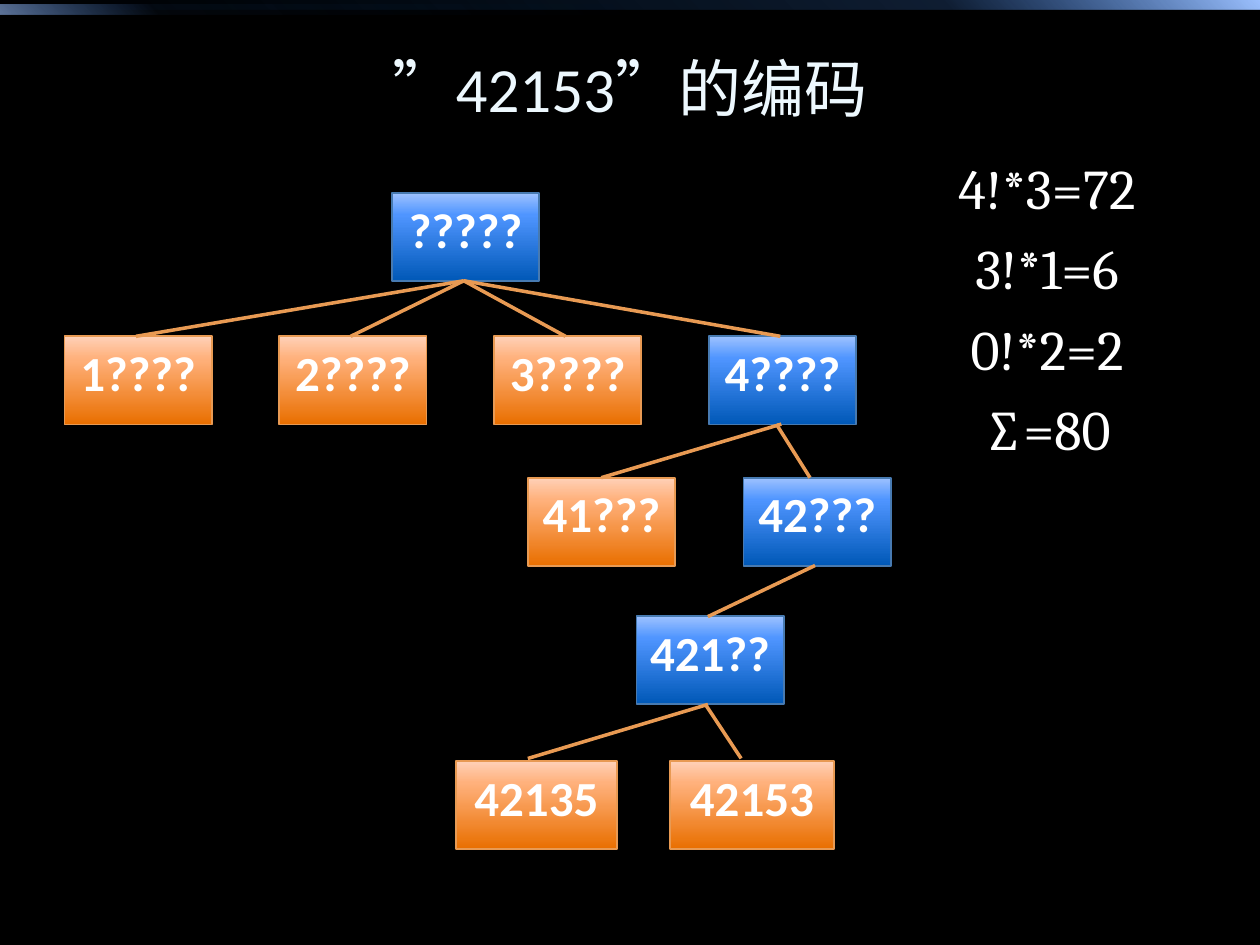
"""Builds the slide showing the permutation tree that encodes 42153."""
from lxml import etree
from pptx import Presentation
from pptx import util as u
from pptx.dml.color import RGBColor
from pptx.enum import shapes, text
from pptx.oxml.ns import qn

COLORS = {
    "black": "000000", "white": "FFFFFF", "title": "EDF8FE",
    "blue_dark": "0058B7", "blue_mid": "4F95FF", "blue_light": "9EC2FF",
    "orange_dark": "E96F00", "orange_mid": "FFB17C", "orange_light": "FFD1B8",
    "blue_line": "477AB1", "orange_line": "E89A53",
}
BOX_W, BOX_H = 2.97, 1.78
STEP = 4.33
LEVELS = [3.89, 6.78, 9.63, 12.42, 15.34]
NODES = [("?????", 7.9, 0, "blue", BOX_W)]
NODES += [(f"{i + 1}????", 1.3 + STEP * i, 1, "blue" if i == 3 else "orange", BOX_W)
          for i in range(4)]
NODES += [
    ("41???", 10.64, 2, "orange", BOX_W),
    ("42???", 14.99, 2, "blue", BOX_W),
    ("421??", 12.83, 3, "blue", BOX_W),
    ("42135", 9.19, 4, "orange", 3.25),
    ("42153", 13.51, 4, "orange", 3.3),
]
EDGES = [(9.35, 5.66, 2.74 + STEP * i, 6.78) for i in range(4)]
EDGES += [
    (15.75, 8.55, 12.12, 9.63),
    (15.65, 8.55, 16.33, 9.63),
    (16.43, 11.4, 14.27, 12.43),
    (14.27, 14.2, 10.64, 15.29),
    (14.22, 14.2, 14.94, 15.29),
]
SUMS = ["4!*3=72", "3!*1=6", "0!*2=2", "∑=80"]


def rgb(name):
    return RGBColor.from_string(COLORS[name])


def set_gradient(sp, hue, angle, alphas=(100, 100, 100)):
    sp.fill.gradient()
    grad = sp._element.spPr.find(qn("a:gradFill"))
    stops = grad.find(qn("a:gsLst"))
    for stop in list(stops):
        stops.remove(stop)
    for pos, tone, alpha in zip((0, 75, 100), ("dark", "mid", "light"), alphas):
        gs = etree.SubElement(stops, qn("a:gs"), pos=str(pos * 1000))
        clr = etree.SubElement(gs, qn("a:srgbClr"), val=COLORS[f"{hue}_{tone}"])
        if alpha < 100:
            etree.SubElement(clr, qn("a:alpha"), val=str(alpha * 1000))
    grad.find(qn("a:lin")).set("ang", str(angle * 60000))


def add_rect(s, x, y, w, h):
    sp = s.shapes.add_shape(shapes.MSO_SHAPE.RECTANGLE, u.Cm(x), u.Cm(y), u.Cm(w), u.Cm(h))
    sp.shadow.inherit = False
    return sp


def add_bar(s, y, w, angle, alphas):
    sp = add_rect(s, 0, y, w, 0.2)
    set_gradient(sp, "blue", angle, alphas)
    sp.line.fill.background()


def format_paragraph(p, size, font, color, bold=False):
    p.alignment = text.PP_ALIGN.CENTER
    for r in p.runs:
        r.font.size, r.font.name, r.font.bold = u.Pt(size), font, bold
        r.font.color.rgb = rgb(color)


def add_node(s, label, x, level, hue, w):
    sp = add_rect(s, x, LEVELS[level], w, BOX_H)
    set_gradient(sp, hue, 270)
    sp.line.color.rgb = rgb(f"{hue}_line")
    sp.line.width = u.Pt(1)
    tf = sp.text_frame
    tf.text = label
    tf.vertical_anchor = text.MSO_ANCHOR.TOP
    format_paragraph(tf.paragraphs[0], 28, "Calibri", "white", True)


def add_edge(s, x1, y1, x2, y2):
    cxn = s.shapes.add_connector(shapes.MSO_CONNECTOR.STRAIGHT,
                                 u.Cm(x1), u.Cm(y1), u.Cm(x2), u.Cm(y2))
    cxn.line.color.rgb = rgb("orange_line")
    cxn.line.width = u.Pt(2)
    etree.SubElement(cxn._element.spPr, qn("a:effectLst"))


def add_text(s, x, y, w, h, lines, size, font, color, anchor, gap=0):
    tf = s.shapes.add_textbox(u.Cm(x), u.Cm(y), u.Cm(w), u.Cm(h)).text_frame
    tf.word_wrap = True
    tf.vertical_anchor = anchor
    tf.text = "\n".join(lines)
    for p in tf.paragraphs:
        p.space_before = u.Pt(gap)
        format_paragraph(p, size, font, color)


def main():
    prs = Presentation()
    prs.slide_width, prs.slide_height = u.Cm(25.4), u.Cm(19.05)
    s = prs.slides.add_slide(prs.slide_layouts[6])
    s.background.fill.solid()
    s.background.fill.fore_color.rgb = rgb("black")
    add_bar(s, 0, 25.4, 315, (0, 20, 100))
    add_bar(s, 0.1, 12.7, 135, (0, 5, 60))
    add_text(s, 1.27, 0.79, 22.86, 1.93, ["”42153”的编码"], 36, "Calibri", "title",
             text.MSO_ANCHOR.MIDDLE)
    for node in NODES:
        add_node(s, *node)
    for edge in EDGES:
        add_edge(s, *edge)
    add_text(s, 17.48, 2.97, 7.26, 14.1, SUMS, 32, "Cambria", "white",
             text.MSO_ANCHOR.TOP, 7.5)
    prs.save("out.pptx")


if __name__ == "__main__":
    main()
